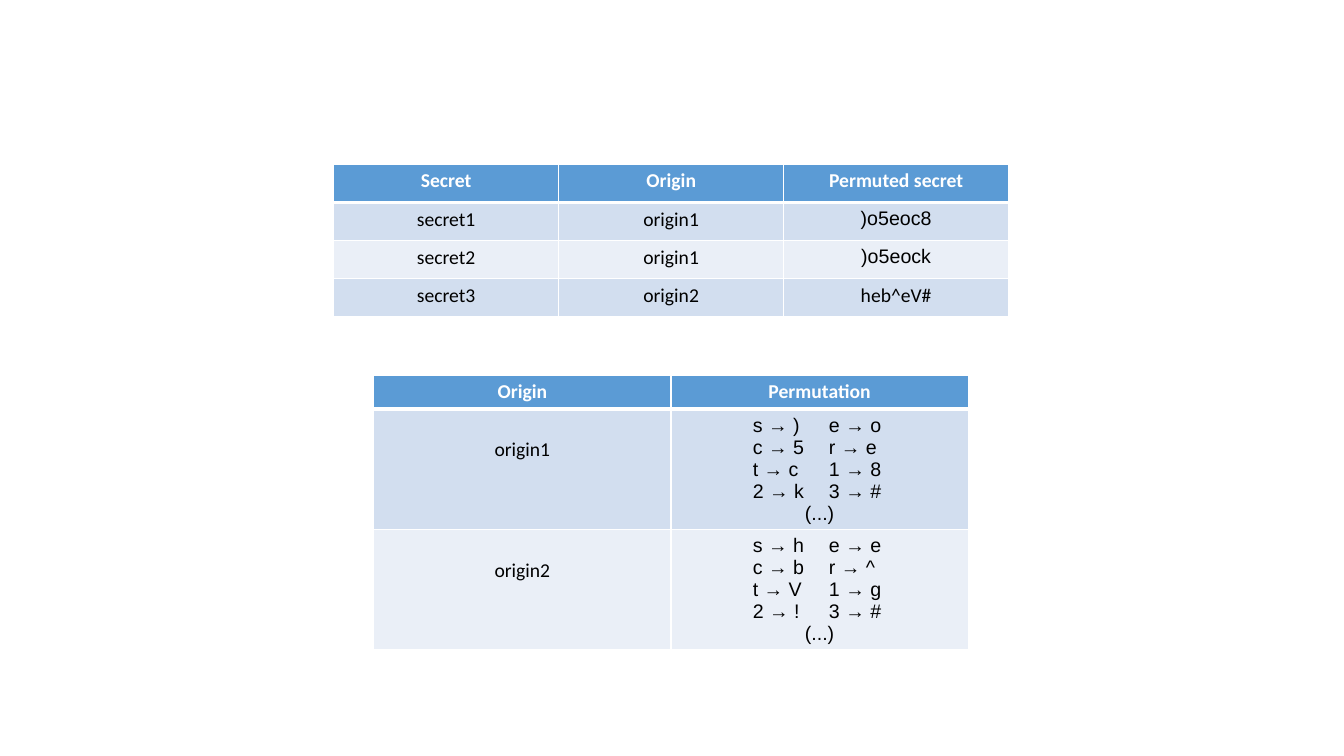
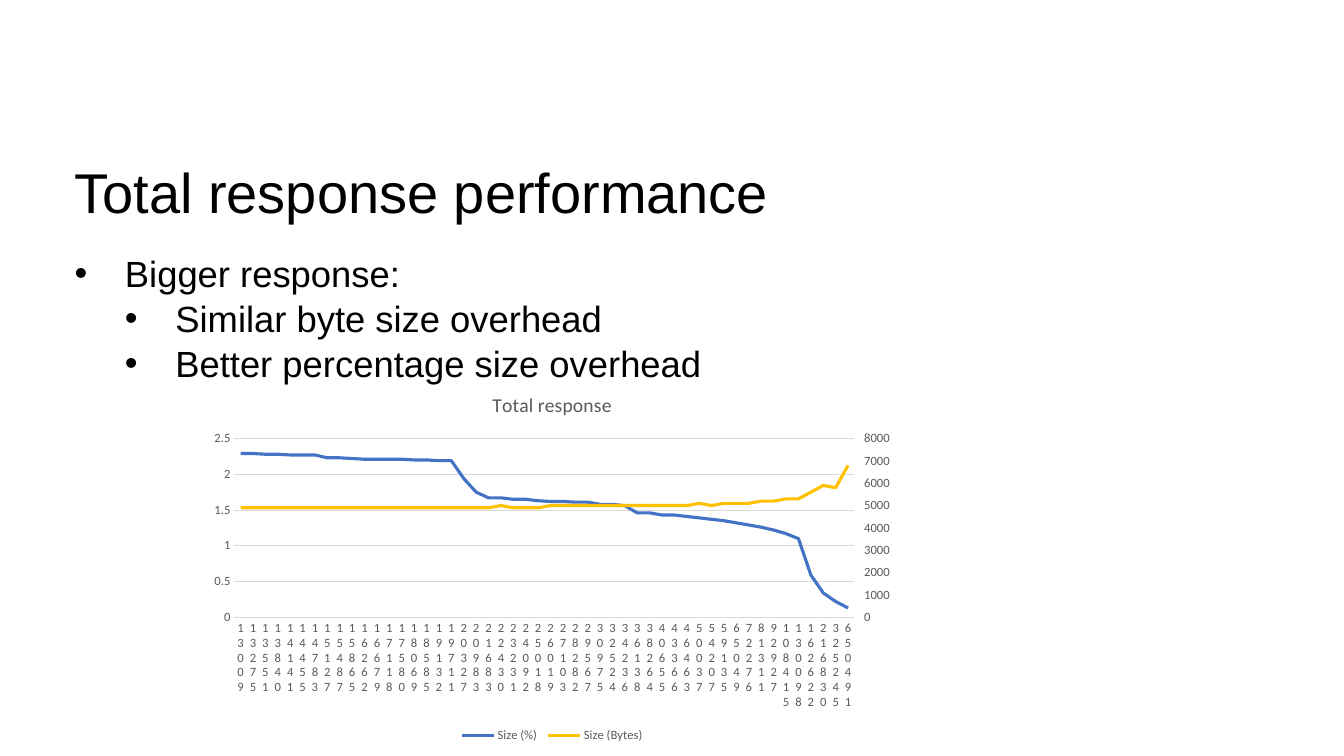
from copy import deepcopy

from lxml import etree
from pptx import Presentation
from pptx import util as u
from pptx.chart.data import CategoryChartData
from pptx.dml.color import RGBColor
from pptx.enum import chart as charts, text
from pptx.oxml.ns import qn

CENTER = text.PP_ALIGN.CENTER
LEFT = text.PP_ALIGN.LEFT


def color(value):
    """Turn a hex string into a colour."""
    return RGBColor.from_string(value)


def element(parent, tag, **attributes):
    """Append an XML element and return it."""
    return etree.SubElement(parent, qn(tag), attributes)


def set_font(font, size, name, fill, bold=False):
    """Apply size, typeface, colour and weight to a font."""
    font.size, font.name, font.bold = u.Pt(size), name, bold
    font.color.rgb = color(fill)


def write(frame, lines, size=14, name="Arial", fill="000000", bold=False,
          align=LEFT, spacing=None, levels=None, tab=None):
    """Write lines of text; levels adds bullets and tab aligns split lines."""
    for index, line in enumerate(lines):
        paragraph = frame.paragraphs[0] if index == 0 else frame.add_paragraph()
        tabbed = tab is not None and "\t" in line
        paragraph.alignment = LEFT if tabbed else align
        if spacing:
            paragraph.line_spacing = spacing
        run = paragraph.add_run()
        run.text = line
        set_font(run.font, size, name, fill, bold)
        properties = paragraph._p.get_or_add_pPr()
        if levels:
            level = levels[index]
            paragraph.level = level
            properties.set("marL", str(u.Cm(1.27 * (level + 1))))
            properties.set("indent", str(u.Cm(-1.27)))
            element(properties, "a:buFont", typeface="Arial")
            element(properties, "a:buChar", char="•")
        if tabbed:
            stops = element(properties, "a:tabLst")
            element(stops, "a:tab", pos=str(u.Cm(tab)), algn="l")


class Deck:
    """Holds the shared style and the current slide."""

    HEADER, BANDS, BORDER = "5B9BD5", ("D2DEEF", "EAEFF7"), "FFFFFF"
    LABEL, GRID = "595959", "D9D9D9"
    SERIES = ("4472C4", "FFC000")
    BODY, DATA = "Arial", "Calibri"

    def __init__(self):
        """Start an empty wide presentation."""
        self.presentation = Presentation()
        self.presentation.slide_width = u.Cm(33.87)
        self.presentation.slide_height = u.Cm(19.05)
        self.slide = None

    def add_slide(self):
        """Add a blank slide and make it current."""
        self.slide = self.presentation.slides.add_slide(
            self.presentation.slide_layouts[6])

    def textbox(self, place, lines, **style):
        """Add a wrapping text box."""
        frame = self.slide.shapes.add_textbox(*map(u.Cm, place)).text_frame
        frame.word_wrap = True
        frame.auto_size = text.MSO_AUTO_SIZE.SHAPE_TO_FIT_TEXT
        write(frame, lines, name=self.BODY, **style)

    def borders(self, cell, row):
        """Draw white cell borders, thick below the header."""
        properties = cell._tc.get_or_add_tcPr()
        widths = {"L": 1, "R": 1, "T": 3 if row == 1 else 1,
                  "B": 3 if row == 0 else 1}
        for side, width in widths.items():
            line = element(properties, f"a:ln{side}", w=str(u.Pt(width)))
            fill = element(line, "a:solidFill")
            element(fill, "a:srgbClr", val=self.BORDER)

    def table(self, left, top, column_width, heights, rows):
        """Add a banded table; a cell is its text or a text and format pair."""
        columns = len(rows[0])
        table = self.slide.shapes.add_table(
            len(rows), columns, u.Cm(left), u.Cm(top),
            u.Cm(column_width * columns), u.Cm(sum(heights))).table
        table.horz_banding = False
        for column in table.columns:
            column.width = u.Cm(column_width)
        for index, values in enumerate(rows):
            table.rows[index].height = u.Cm(heights[index])
            for cell, value in zip(table.rows[index].cells, values):
                self.fill_cell(cell, index, value)
        return table

    def fill_cell(self, cell, row, value):
        """Style and fill one table cell."""
        header = row == 0
        content, extra = value if isinstance(value, tuple) else (value, {})
        self.borders(cell, row)
        cell.fill.solid()
        cell.fill.fore_color.rgb = color(
            self.HEADER if header else self.BANDS[(row - 1) % 2])
        style = {"name": self.DATA, "bold": header, "align": CENTER,
                 "fill": "FFFFFF" if header else "000000"}
        write(cell.text_frame, content.split("\n"), **{**style, **extra})

    def line_chart(self, place, title, categories, series):
        """Add a line chart whose last series uses a right axis."""
        data = CategoryChartData()
        data.categories = categories
        for name, values in series:
            data.add_series(name, values)
        chart = self.slide.shapes.add_chart(
            charts.XL_CHART_TYPE.LINE, *map(u.Cm, place), data).chart
        set_font(chart.font, 10, self.DATA, "000000")
        chart.has_title = True
        write(chart.chart_title.text_frame, [title], size=14, name=self.DATA,
              fill=self.LABEL, align=CENTER)
        chart.chart_title.include_in_layout = False
        chart.has_legend = True
        chart.legend.position = charts.XL_LEGEND_POSITION.BOTTOM
        chart.legend.include_in_layout = False
        set_font(chart.legend.font, 9, self.DATA, self.LABEL)
        chart.plots[0].vary_by_categories = False
        for line, tint in zip(chart.plots[0].series, self.SERIES):
            line.smooth = False
            line.format.line.color.rgb = color(tint)
            line.format.line.width = u.Pt(2.25)
        self.style_axes(chart)
        self.add_right_axis(chart)

    def style_axes(self, chart):
        """Format the primary axes and gridlines."""
        category, value = chart.category_axis, chart.value_axis
        for axis in (category, value):
            axis.major_tick_mark = charts.XL_TICK_MARK.NONE
            axis.minor_tick_mark = charts.XL_TICK_MARK.NONE
            axis.tick_labels.number_format = "General"
            axis.tick_labels.number_format_is_linked = False
            set_font(axis.tick_labels.font, 9, self.DATA, self.LABEL)
        value.has_major_gridlines = True
        value.format.line.fill.background()
        for outline in (category.format.line, value.major_gridlines.format.line):
            outline.color.rgb = color(self.GRID)
            outline.width = u.Pt(0.75)
        body = category._element.find(qn("c:txPr")).find(qn("a:bodyPr"))
        body.set("rot", "0")
        body.set("vert", "horz")

    def add_right_axis(self, chart):
        """Move the last series to a second plot with its own axes."""
        category, value = chart.category_axis._element, chart.value_axis._element
        plot = chart.plots[0]._element
        right_plot = deepcopy(plot)
        plot.remove(plot.findall(qn("c:ser"))[-1])
        for line in right_plot.findall(qn("c:ser"))[:-1]:
            right_plot.remove(line)
        plot.addnext(right_plot)
        right_category, right_value = deepcopy(category), deepcopy(value)
        value.addnext(right_value)
        right_value.addnext(right_category)

        names = {category.find(qn("c:axId")).get("val"): "50010",
                 value.find(qn("c:axId")).get("val"): "50020"}
        for part in (right_plot, right_category, right_value):
            for tag in ("c:axId", "c:crossAx"):
                for reference in part.findall(qn(tag)):
                    reference.set("val", names[reference.get("val")])
        right_category.find(qn("c:delete")).set("val", "1")
        right_value.remove(right_value.find(qn("c:majorGridlines")))
        for tag, setting in (("c:axPos", "r"), ("c:majorTickMark", "out"),
                             ("c:crosses", "max")):
            right_value.find(qn(tag)).set("val", setting)


def add_secrets(deck):
    """Build the slide with the secret and permutation tables."""
    deck.add_slide()
    arial = {"name": deck.BODY}
    deck.table(8.41, 4.14, 5.67, [0.96] * 4, [
        ["Secret", "Origin", "Permuted secret"],
        ["secret1", "origin1", (")o5eoc8", arial)],
        ["secret2", "origin1", (")o5eock", arial)],
        ["secret3", "origin2", "heb^eV#"],
    ])
    pairs = {"name": deck.BODY, "tab": 1.92}
    permutations = deck.table(9.42, 9.45, 7.49, [0.86, 3.02, 3.02], [
        ["Origin", "Permutation"],
        ["origin1", ("s → )\te → o\nc → 5\tr → e\nt → c\t1 → 8\n"
                     "2 → k\t3 → #\n(...)", pairs)],
        ["origin2", ("s → h\te → e\nc → b\tr → ^\nt → V\t1 → g\n"
                     "2 → !\t3 → #\n(...)", pairs)],
    ])
    for row in (1, 2):
        permutations.cell(row, 0).margin_top = u.Cm(0.73)
        mapping = permutations.cell(row, 1)
        mapping.margin_left = mapping.margin_right = u.Cm(2.06)


def add_performance(deck):
    """Build the slide with the response size chart."""
    deck.add_slide()
    deck.textbox((1.63, 3.84, 29.13, 1.96), ["Total response performance"], size=40)
    deck.textbox((1.63, 6.15, 24.59, 3.58), [
        "Bigger response:", "Similar byte size overhead",
        "Better percentage size overhead"],
        size=26, levels=(0, 1, 1), spacing=1.04)
    categories = (
        "13009 13275 13551 13840 14141 14455 14783 15127 15487 15865 "
        "16262 16679 17118 17580 18069 18585 19132 19711 20327 20983 "
        "21683 22430 23231 24092 25018 26019 27103 28282 29567 30975 "
        "32524 34236 36138 38264 40655 43366 46463 50037 54207 59135 "
        "65049 72276 81311 92927 108415 130098 162622 216830 325245 650491"
    ).split()
    percentages = [
        2.29, 2.29, 2.28, 2.28, 2.27, 2.27, 2.27, 2.23, 2.23, 2.22,
        2.21, 2.21, 2.21, 2.21, 2.2, 2.2, 2.19, 2.19, 1.94, 1.75,
        1.67, 1.67, 1.65, 1.65, 1.63, 1.62, 1.62, 1.61, 1.61, 1.58,
        1.58, 1.56, 1.46, 1.46, 1.43, 1.43, 1.41, 1.39, 1.37, 1.35,
        1.32, 1.29, 1.26, 1.22, 1.17, 1.1, 0.59, 0.34, 0.22, 0.13]
    sizes = [4900] * 21 + [5000] + [4900] * 3 + [5000] * 12 + [
        5100, 5000, 5100, 5100, 5100, 5200, 5200, 5300, 5300,
        5600, 5900, 5800, 6800]
    deck.line_chart((5.05, 9.45, 17.73, 9.37), "Total response", categories,
                    [("Size (%) ", percentages), ("Size (Bytes)", sizes)])


def main():
    """Build and save the presentation."""
    deck = Deck()
    add_secrets(deck)
    add_performance(deck)
    deck.presentation.save("out.pptx")


if __name__ == "__main__":
    main()
